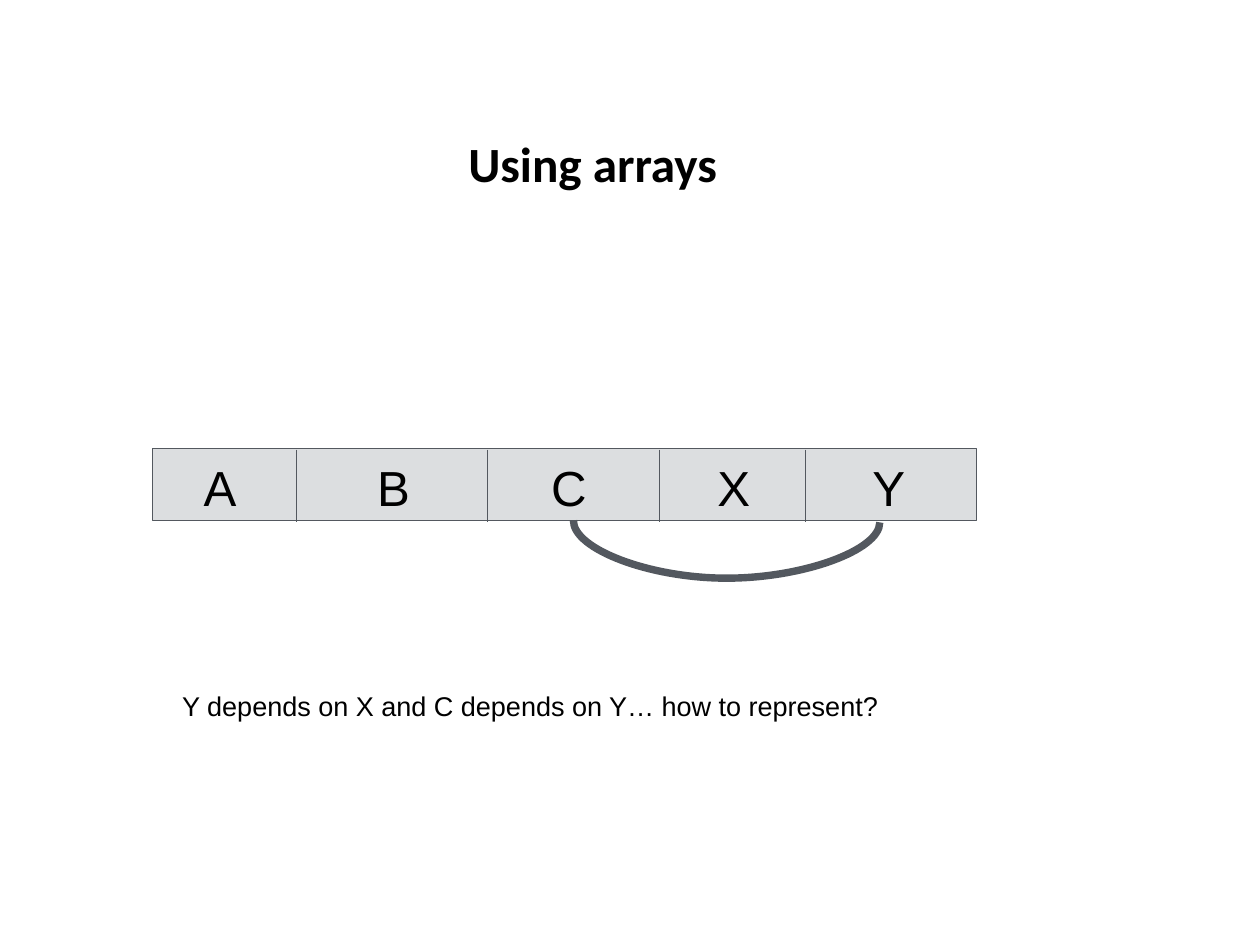
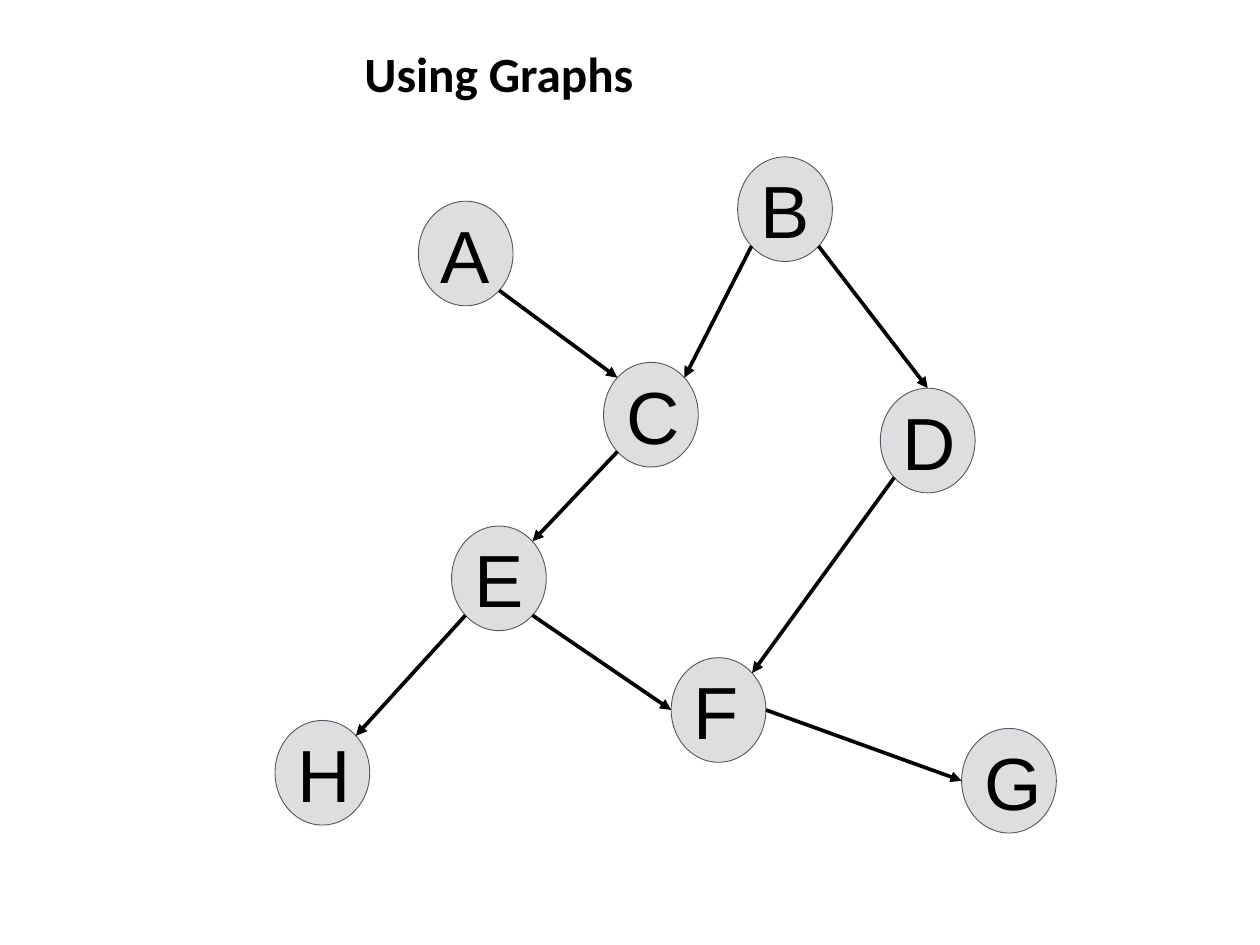
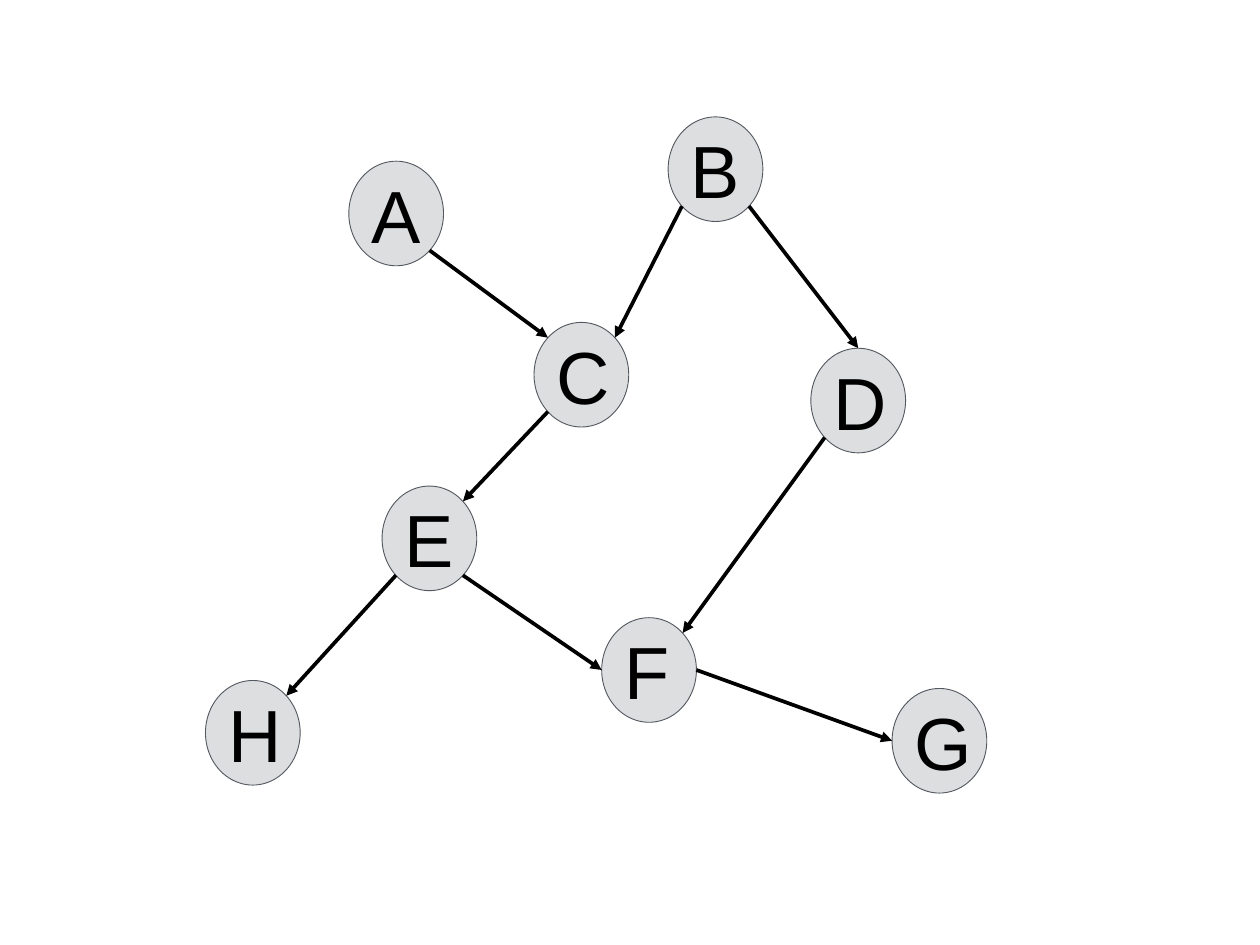
from math import cos, radians, sin

from lxml.etree import SubElement
from pptx import Presentation
from pptx.dml.color import RGBColor
from pptx.enum.shapes import MSO_CONNECTOR, MSO_SHAPE
from pptx.enum.text import MSO_ANCHOR, PP_ALIGN
from pptx.oxml.ns import qn
from pptx.util import Pt

COLOURS = {"fill": "DCDEE0", "outline": "53585F", "ink": "000000"}
INSET = 7.2
NODE_WIDTH, NODE_HEIGHT = 77, 85
CELLS = [("A", 117, 41.5), ("B", 155, 65.5), ("C", 140, 52), ("X", 119, 47), ("Y", 138.5, 54)]
NODES = {
    "A": (116.5, 36), "B": (376, 0), "C": (267, 167), "D": (492, 188),
    "E": (143.5, 300), "F": (322, 407), "G": (558, 464.5), "H": (0, 458),
}
SITES = {
    "right": 0, "lower right": 45, "lower left": 135, "left": 180,
    "upper right": 315, "upper left": 225, "top": 270,
}
EDGES = [
    ("C", "lower left", "E", "upper right"),
    ("A", "lower right", "C", "upper left"),
    ("F", "right", "G", "left"),
    ("D", "lower left", "F", "upper right"),
    ("B", "lower right", "D", "top"),
    ("B", "lower left", "C", "upper right"),
    ("E", "lower left", "H", "upper right"),
    ("E", "lower right", "F", "left"),
]


def colour(name):
    return RGBColor.from_string(COLOURS[name])


def write(shape, text, size, font="Arial", bold=False, align=PP_ALIGN.LEFT,
          anchor=MSO_ANCHOR.TOP, indent=INSET):
    frame = shape.text_frame
    frame.word_wrap = True
    frame.vertical_anchor = anchor
    frame.margin_left = Pt(indent)
    frame.margin_top = frame.margin_right = frame.margin_bottom = Pt(INSET)
    frame.text = text
    para = frame.paragraphs[0]
    para.alignment = align
    span = para.runs[0]
    span.font.size = Pt(size)
    span.font.name = font
    span.font.bold = bold
    span.font.color.rgb = colour("ink")


def add_text(slide, box, text, size, **style):
    write(slide.shapes.add_textbox(*map(Pt, box)), text, size, **style)


def add_title(slide, box, text, align=PP_ALIGN.LEFT):
    add_text(slide, box, text, 40, font="Calibri", bold=True, align=align,
             anchor=MSO_ANCHOR.MIDDLE)


def add_panel(slide, kind, box):
    panel = slide.shapes.add_shape(kind, *map(Pt, box))
    panel.shadow.inherit = False
    panel.fill.solid()
    panel.fill.fore_color.rgb = colour("fill")
    panel.line.color.rgb = colour("outline")
    panel.line.width = Pt(0.75)
    return panel


def add_line(slide, start, end, ink, width, kind=MSO_CONNECTOR.STRAIGHT):
    line = slide.shapes.add_connector(kind, *map(Pt, (*start, *end)))
    line.line.color.rgb = colour(ink)
    line.line.width = Pt(width)
    SubElement(line._element.spPr, qn("a:effectLst"))
    return line


def add_arrow(slide, start, end):
    arrow = add_line(slide, start, end, "ink", 3)
    SubElement(arrow.line._get_or_add_ln(), qn("a:tailEnd"), type="triangle")


def add_loop(slide, start, end, depth):
    span, rise = end[0] - start[0], end[1] - start[1]
    middle_x, middle_y = (start[0] + end[0]) / 2, (start[1] + end[1]) / 2
    loop = add_line(
        slide, (middle_x - rise / 2, middle_y - span / 2),
        (middle_x + rise / 2, middle_y + span / 2), "outline", 6, MSO_CONNECTOR.CURVE)
    properties = loop._element.spPr
    frame = properties.find(qn("a:xfrm"))
    frame.set("rot", "16200000")
    frame.set("flipH", "1")
    geometry = properties.find(qn("a:prstGeom"))
    guides = geometry.find(qn("a:avLst"))
    if guides is None:
        guides = SubElement(geometry, qn("a:avLst"))
    SubElement(guides, qn("a:gd"), name="adj1", fmla=f"val {round(depth / rise * 100000)}")


def add_array(slide, box):
    left, top, width, height = box
    add_panel(slide, MSO_SHAPE.RECTANGLE, box)
    edge = left
    for letter, cell_width, indent in CELLS:
        if edge > left:
            add_line(slide, (edge, top + 1), (edge, top + height + 1), "outline", 0.75)
        add_text(slide, (edge, top, cell_width, height), letter, 40, indent=indent)
        edge += cell_width
    bottom = top + height
    add_loop(slide, (left + 342, bottom), (left + 591, bottom + 1.5), 46.8)


def add_graph(slide, left, top):
    def site(name, side):
        x, y = NODES[name]
        angle = radians(SITES[side])
        return (left + x + NODE_WIDTH / 2 * (1 + cos(angle)),
                top + y + NODE_HEIGHT / 2 * (1 + sin(angle)))

    for name, (x, y) in NODES.items():
        node = add_panel(slide, MSO_SHAPE.OVAL, (left + x, top + y, NODE_WIDTH, NODE_HEIGHT))
        write(node, name, 60, anchor=MSO_ANCHOR.MIDDLE)
    for source, source_side, target, target_side in EDGES:
        add_arrow(slide, site(source, source_side), site(target, target_side))


def add_array_slide(slide):
    add_title(slide, (373.5, 89.5, 261.5, 85), "Using arrays")
    add_array(slide, (124, 364.5, 669.5, 58.5))
    add_text(slide, (141, 553.5, 643, 60.5),
             "Y depends on X and C depends on Y… how to represent?", 22)


def add_graph_slide(slide, left, top, title=None):
    if title:
        add_title(slide, (0, 16.5, 811, 85), title, PP_ALIGN.CENTER)
    add_graph(slide, left, top)


def main():
    deck = Presentation()
    deck.slide_width, deck.slide_height = Pt(1024), Pt(768)
    blank = deck.slide_layouts[6]
    add_array_slide(deck.slides.add_slide(blank))
    add_graph_slide(deck.slides.add_slide(blank), 223.5, 127.5, "Using Graphs")
    add_graph_slide(deck.slides.add_slide(blank), 167, 95)
    deck.save("out.pptx")


if __name__ == "__main__":
    main()
